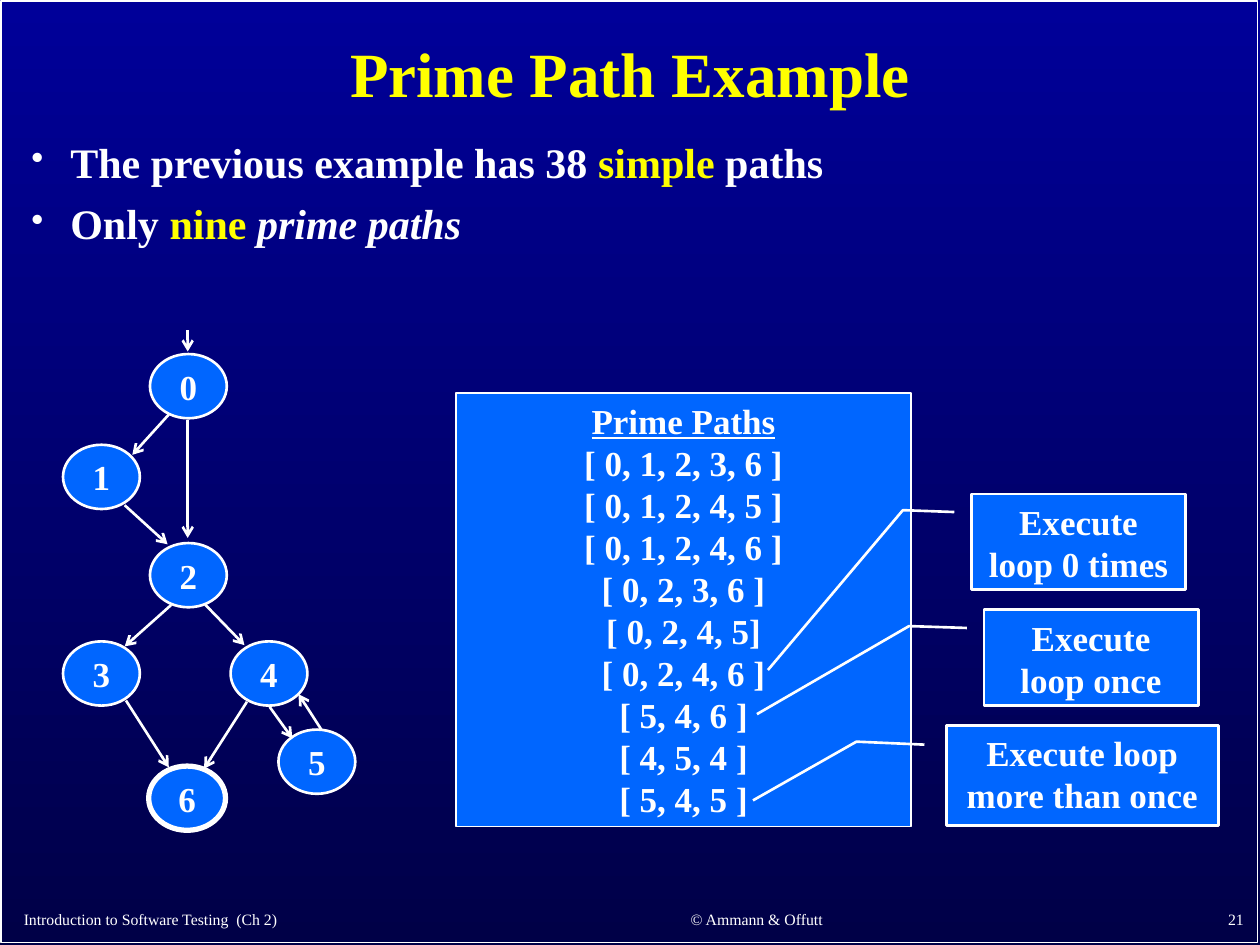
from dataclasses import dataclass

from lxml import etree
from pptx import Presentation
from pptx import util as u
from pptx.dml.color import RGBColor
from pptx.enum import shapes, text
from pptx.oxml.ns import qn

PX = 9144
CENTER = text.PP_ALIGN.CENTER


@dataclass(frozen=True)
class Theme:
    font: str = "Times New Roman"
    top: str = "000099"
    bottom: str = "000047"
    blue: str = "0066FF"
    white: str = "FFFFFF"
    yellow: str = "FFFF00"
    title: int = 36
    bullet: int = 24
    label: int = 20
    footer: int = 9


THEME = Theme()


def px(*lengths):
    return [u.Emu(length * PX) for length in lengths]


def rgb(color):
    return RGBColor.from_string(color)


def add_run(paragraph, words, size, color=THEME.white, bold=True, italic=None, underline=None):
    run = paragraph.add_run()
    run.text = words
    font = run.font
    font.name, font.size, font.color.rgb = THEME.font, u.Pt(size), rgb(color)
    font.bold, font.italic, font.underline = bold, italic, underline


def add_outlined(slide, preset, box, weight, fill=THEME.blue):
    shape = slide.shapes.add_shape(preset, *px(*box))
    shape.shadow.inherit = False
    if fill:
        shape.fill.solid()
        shape.fill.fore_color.rgb = rgb(fill)
    else:
        shape.fill.background()
    shape.line.color.rgb = rgb(THEME.white)
    shape.line.width = u.Pt(weight)
    shape.text_frame.vertical_anchor = text.MSO_ANCHOR.TOP
    shape.text_frame.word_wrap = True
    return shape


def add_lines(frame, lines, underline_first=False):
    for index, line in enumerate(lines):
        paragraph = frame.paragraphs[0] if index == 0 else frame.add_paragraph()
        paragraph.alignment = CENTER
        add_run(paragraph, line, THEME.label, underline=underline_first and index == 0)


def add_arrow(slide, start, end):
    arrow = slide.shapes.add_connector(shapes.MSO_CONNECTOR.STRAIGHT, *px(*start, *end))
    arrow.line.color.rgb = rgb(THEME.white)
    arrow.line.width = u.Pt(1.5)
    etree.SubElement(arrow.line._get_or_add_ln(), qn("a:tailEnd"), type="arrow")
    etree.SubElement(arrow._element.spPr, qn("a:effectLst"))


def set_background(slide):
    fill = slide.background.fill
    fill.gradient()
    fill.gradient_angle = 270
    for stop, color in zip(fill.gradient_stops, (THEME.top, THEME.bottom)):
        stop.color.rgb = rgb(color)
    add_outlined(slide, shapes.MSO_SHAPE.RECTANGLE, (1, 1, 997, 747), 1, fill=None)


def place_title(slide, box, words):
    title = slide.shapes.title
    title.left, title.top, title.width, title.height = px(*box)
    title.text_frame.vertical_anchor = text.MSO_ANCHOR.MIDDLE
    paragraph = title.text_frame.paragraphs[0]
    paragraph.alignment = CENTER
    paragraph.line_spacing = 0.9
    add_run(paragraph, words, THEME.title, THEME.yellow)


def add_bullets(slide, box, points):
    frame = slide.shapes.add_textbox(*px(*box)).text_frame
    frame.word_wrap = True
    for index, point in enumerate(points):
        paragraph = frame.paragraphs[0] if index == 0 else frame.add_paragraph()
        paragraph.line_spacing = 0.9
        paragraph.space_before = u.Pt(9 if index else 0)
        properties = paragraph._p.get_or_add_pPr()
        indent = 31 * PX
        properties.set("marL", str(indent))
        properties.set("indent", str(-indent))
        bullet_color = etree.SubElement(properties, qn("a:buClr"))
        etree.SubElement(bullet_color, qn("a:srgbClr"), val=THEME.white)
        etree.SubElement(properties, qn("a:buSzPct"), val="85000")
        etree.SubElement(properties, qn("a:buChar"), char="•")
        for words, color, italic in point:
            add_run(paragraph, words, THEME.bullet, color, italic=italic)


def add_graph(slide, box):
    left, top = box[:2]
    width, height = 61, 51
    nodes = {"0": (69, 19), "1": (0, 91), "2": (69, 169), "3": (0, 247),
             "4": (133, 247), "5": (171, 317), "6": (68, 346)}
    final = "6"
    edges = [((99, 0), (99, 17)), ((84, 67), (55, 99)), ((99, 71), (99, 165)),
             ((49, 139), (83, 170)), ((86, 218), (49, 251)), ((113, 218), (144, 250)),
             ((50, 294), (84, 347)), ((146, 295), (112, 348)),
             ((164, 299), (182, 324)), ((205, 317), (187, 289))]
    for label, (x, y) in nodes.items():
        node = add_outlined(slide, shapes.MSO_SHAPE.OVAL, (left + x, top + y, width, height),
                            3 if label == final else 1.5)
        frame = node.text_frame
        frame.margin_left = frame.margin_right = frame.margin_top = frame.margin_bottom = 0
        frame.vertical_anchor = text.MSO_ANCHOR.MIDDLE
        add_lines(frame, [label])
    for (x1, y1), (x2, y2) in edges:
        add_arrow(slide, (left + x1, top + y1), (left + x2, top + y2))


def add_prime_paths(slide, box, paths):
    panel = add_outlined(slide, shapes.MSO_SHAPE.RECTANGLE, box, 1)
    panel.text_frame.auto_size = text.MSO_AUTO_SIZE.SHAPE_TO_FIT_TEXT
    add_lines(panel.text_frame, ["Prime Paths", *paths], underline_first=True)


def add_callout(slide, box, words, elbow, tip):
    callout = add_outlined(slide, shapes.MSO_SHAPE.LINE_CALLOUT_2, box, 1.5)
    for index, value in enumerate((0.19, -0.08, *elbow, *tip)):
        callout.adjustments[index] = value
    add_lines(callout.text_frame, [words])


def add_footer(slide, box, words, alignment):
    frame = slide.shapes.add_textbox(*px(*box)).text_frame
    frame.word_wrap = True
    frame.vertical_anchor = text.MSO_ANCHOR.BOTTOM
    frame.paragraphs[0].alignment = alignment
    add_run(frame.paragraphs[0], words, THEME.footer, bold=False)


def main():
    deck = Presentation()
    deck.slide_width, deck.slide_height = px(1000, 750)
    slide = deck.slides.add_slide(deck.slide_layouts[5])
    set_background(slide)
    add_footer(slide, (9, 712, 412, 30), "Introduction to Software Testing  (Ch 2)", text.PP_ALIGN.LEFT)
    add_footer(slide, (442, 711, 317, 31), "© Ammann & Offutt", CENTER)
    add_footer(slide, (789, 710, 208, 32), "21", text.PP_ALIGN.RIGHT)
    place_title(slide, (75, 11, 850, 100), "Prime Path Example")
    add_bullets(slide, (15, 108, 970, 566), [
        [("The previous example has 38 ", THEME.white, None),
         ("simple", THEME.yellow, None),
         (" paths", THEME.white, None)],
        [("Only ", THEME.white, None),
         ("nine ", THEME.yellow, None),
         ("prime paths", THEME.white, True)],
    ])
    add_prime_paths(slide, (362, 312, 361, 344), [
        "[ 0, 1, 2, 3, 6 ]", "[ 0, 1, 2, 4, 5 ]", "[ 0, 1, 2, 4, 6 ]",
        "[ 0, 2, 3, 6 ]", "[ 0, 2, 4, 5]", "[ 0, 2, 4, 6 ]",
        "[ 5, 4, 6 ]", "[ 4, 5, 4 ]", "[ 5, 4, 5 ]",
    ])
    add_graph(slide, (50, 262, 232, 397))
    add_callout(slide, (771, 392, 170, 76), "Execute loop 0 times", (0.17, -0.32), (1.84, -0.95))
    add_callout(slide, (781, 484, 170, 76), "Execute loop once", (0.17, -0.35), (1.09, -1.06))
    add_callout(slide, (751, 576, 216, 79), "Execute loop more than once", (0.16, -0.33), (0.75, -0.71))
    deck.save("out.pptx")


if __name__ == "__main__":
    main()
